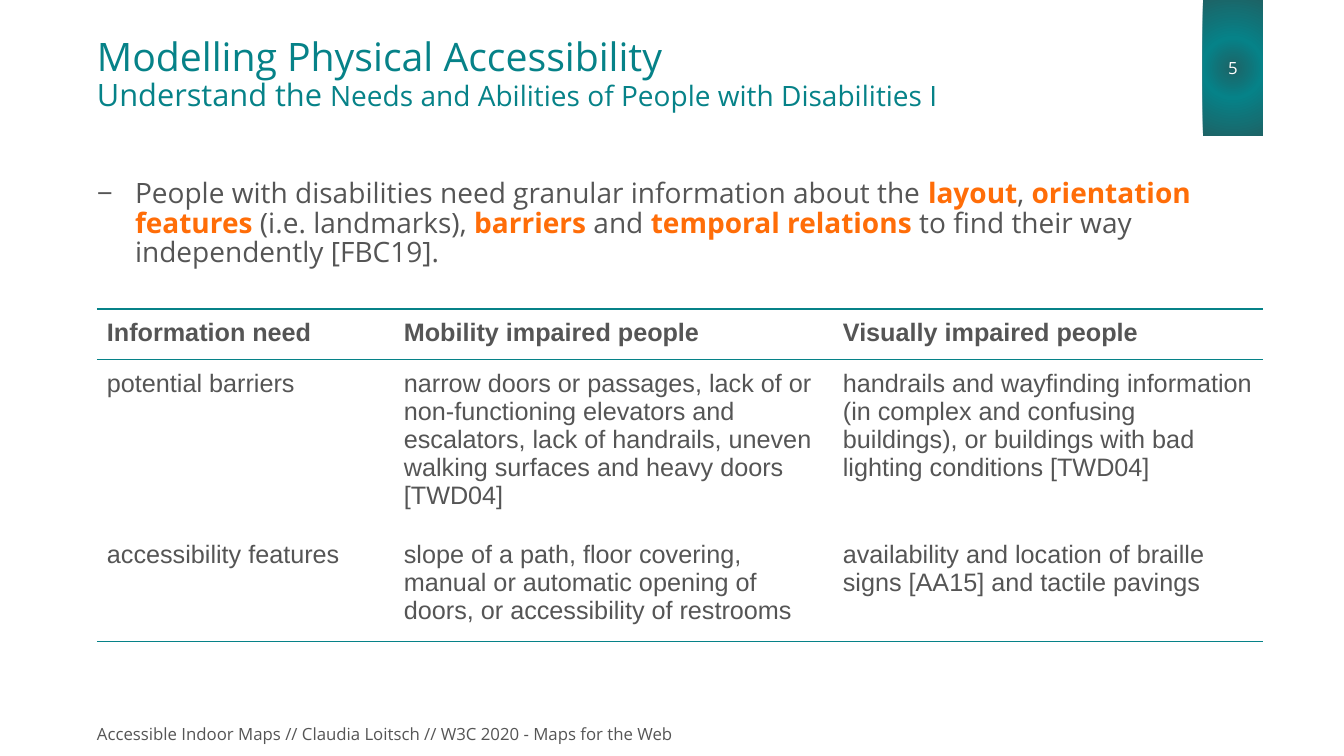
from lxml import etree
from pptx import Presentation
from pptx import util as u
from pptx.dml.color import RGBColor
from pptx.enum import shapes, text
from pptx.oxml import ns

PX = 914400 / 100.8
LEFT, WIDTH = 97, 1166
TEAL, DARK_TEAL, GREY, ORANGE, WHITE = "068288", "1D6366", "555555", "FF6D08", "FFFFFF"
NO_STYLE = "{2D5ABB26-0587-4C30-8999-92F81FD0307C}"

COLUMNS = [297, 439, 430]
ROWS = [50, 171, 111]
NEEDS = [
    ["Information need", "Mobility impaired people", "Visually impaired people"],
    ["potential barriers",
     "narrow doors or passages, lack of or non-functioning elevators and escalators, "
     "lack of handrails, uneven walking surfaces and heavy doors [TWD04]",
     "handrails and wayfinding information (in complex and confusing buildings), "
     "or buildings with bad lighting conditions [TWD04]"],
    ["accessibility features",
     "slope of a path, floor covering, manual or automatic opening of doors, "
     "or accessibility of restrooms",
     "availability and location of braille signs [AA15] and tactile pavings"],
]
STATEMENT = [
    ("People with disabilities need granular information about the ", False),
    ("layout", True),
    (", ", False),
    ("orientation features", True),
    (" (i.e. landmarks), ", False),
    ("barriers", True),
    (" and ", False),
    ("temporal relations", True),
    (" to find their way independently [FBC19].", False),
]


def px(length):
    return u.Emu(round(length * PX))


def color(value):
    return RGBColor.from_string(value)


def add_element(parent, tag, **attributes):
    return etree.SubElement(parent, ns.qn(tag), attributes)


def add_run(paragraph, words, size, ink, bold=False, face="Open Sans"):
    run = paragraph.add_run()
    run.text = words
    run.font.size = u.Pt(size)
    run.font.name = face
    run.font.bold = bold
    run.font.color.rgb = color(ink)


def add_text(slide, top, height, anchor=text.MSO_ANCHOR.TOP):
    frame = slide.shapes.add_textbox(px(LEFT), px(top), px(WIDTH), px(height)).text_frame
    frame.word_wrap = True
    frame.vertical_anchor = anchor
    frame.margin_left = frame.margin_top = frame.margin_right = frame.margin_bottom = 0
    return frame.paragraphs[0]


def add_page_tab(slide, number):
    tab = slide.shapes.add_shape(shapes.MSO_SHAPE.RECTANGLE, px(1203), 0, px(60), px(136))
    tab.shadow.inherit = False
    tab.line.fill.background()
    tab.fill.gradient()
    gradient = tab._element.spPr.find(ns.qn("a:gradFill"))
    for part in list(gradient):
        gradient.remove(part)
    stops = add_element(gradient, "a:gsLst")
    for position, shade in ((0, DARK_TEAL), (40, TEAL), (100, DARK_TEAL)):
        stop = add_element(stops, "a:gs", pos=str(position * 1000))
        add_element(stop, "a:srgbClr", val=shade)
    spread = add_element(gradient, "a:path", path="circle")
    add_element(spread, "a:fillToRect", l="50000", t="50000", r="50000", b="50000")
    tab.text_frame.vertical_anchor = text.MSO_ANCHOR.MIDDLE
    paragraph = tab.text_frame.paragraphs[0]
    paragraph.alignment = text.PP_ALIGN.CENTER
    add_run(paragraph, number, 12, WHITE)


def add_title(slide):
    title = add_text(slide, 38, 99)
    title.line_spacing = 0.9
    add_run(title, "Modelling Physical Accessibility", 28, TEAL)
    title.add_line_break()
    add_run(title, "Understand the ", 22, TEAL)
    add_run(title, "Needs and Abilities of People with Disabilities I", 20, TEAL)


def add_statement(slide):
    statement = add_text(slide, 180, 129)
    statement.line_spacing = 0.88
    properties = statement._p.get_or_add_pPr()
    properties.set("marL", str(px(38)))
    properties.set("indent", str(px(-38)))
    add_element(add_element(properties, "a:buClr"), "a:srgbClr", val=GREY)
    add_element(properties, "a:buFont", typeface="Open Sans")
    add_element(properties, "a:buChar", char="−")
    for words, key in STATEMENT:
        add_run(statement, words, 20, ORANGE if key else GREY, key)


def add_border(cell, side):
    line = etree.Element(ns.qn(side), w=str(u.Pt(1)))
    add_element(add_element(line, "a:solidFill"), "a:srgbClr", val=TEAL)
    cell._tc.get_or_add_tcPr().insert(0, line)


def add_needs_table(slide):
    needs = slide.shapes.add_table(
        len(ROWS), len(COLUMNS), px(LEFT), px(309), px(WIDTH), px(sum(ROWS))).table
    needs.horz_banding = False
    needs._tbl.tblPr.find(ns.qn("a:tableStyleId")).text = NO_STYLE
    for column, width in zip(needs.columns, COLUMNS):
        column.width = px(width)
    for r, (height, entries) in enumerate(zip(ROWS, NEEDS)):
        needs.rows[r].height = px(height)
        for c, words in enumerate(entries):
            cell = needs.cell(r, c)
            cell.fill.background()
            cell.margin_left = cell.margin_top = cell.margin_right = cell.margin_bottom = px(10)
            add_run(cell.text_frame.paragraphs[0], words, 18, GREY, r == 0, "Arial")
            if r in (0, len(ROWS) - 1):
                add_border(cell, "a:lnB")
            if r == 0:
                add_border(cell, "a:lnT")


def main():
    deck = Presentation()
    deck.slide_width, deck.slide_height = px(1344), px(756)
    slide = deck.slides.add_slide(deck.slide_layouts[6])
    add_page_tab(slide, "5")
    footer = add_text(slide, 724, 20, text.MSO_ANCHOR.MIDDLE)
    add_run(footer, "Accessible Indoor Maps // Claudia Loitsch // W3C 2020 - Maps for the Web", 12, GREY)
    add_title(slide)
    add_statement(slide)
    add_needs_table(slide)
    deck.save("out.pptx")


if __name__ == "__main__":
    main()
